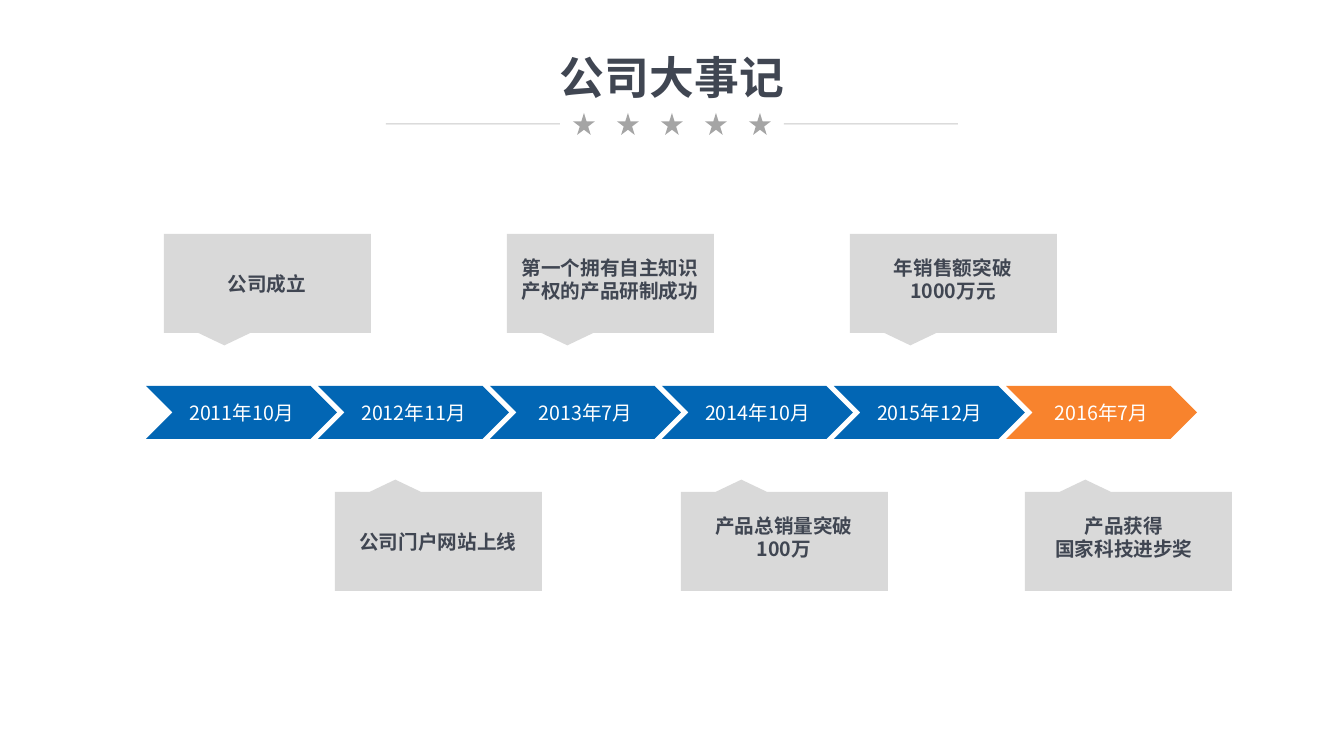
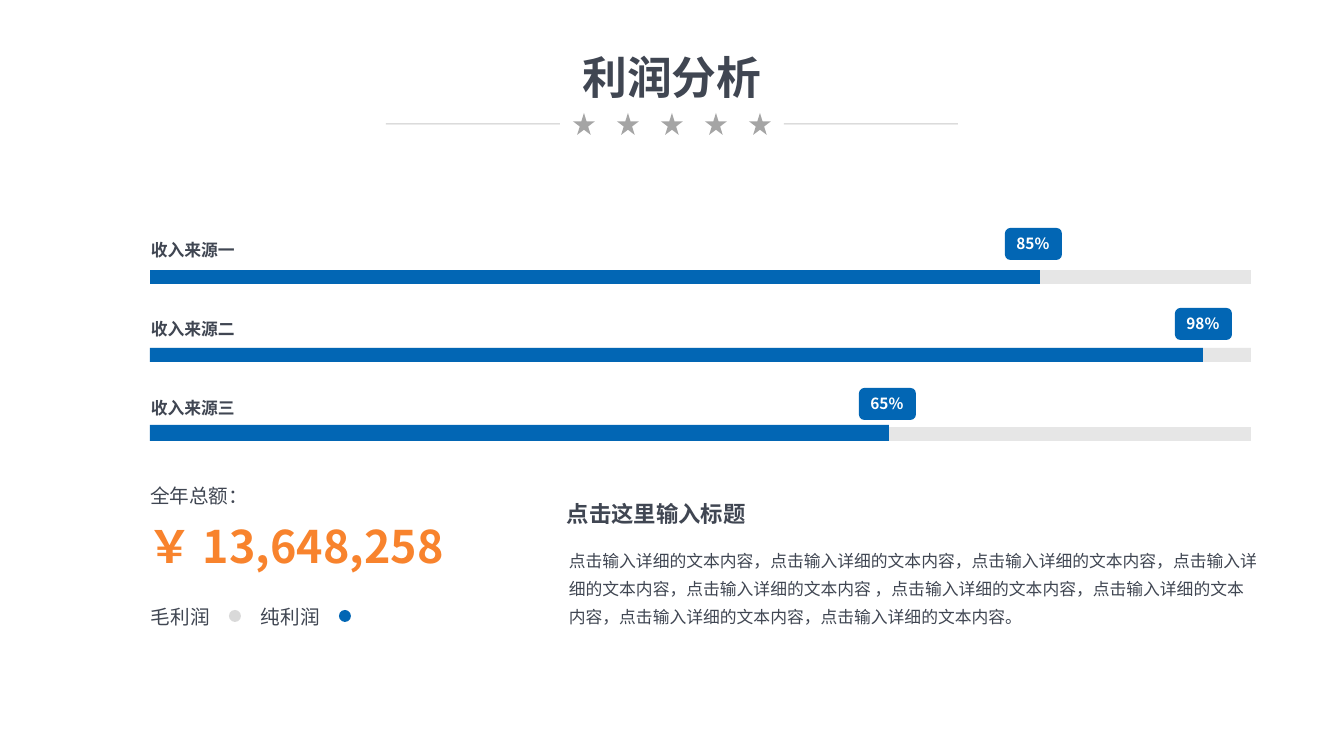
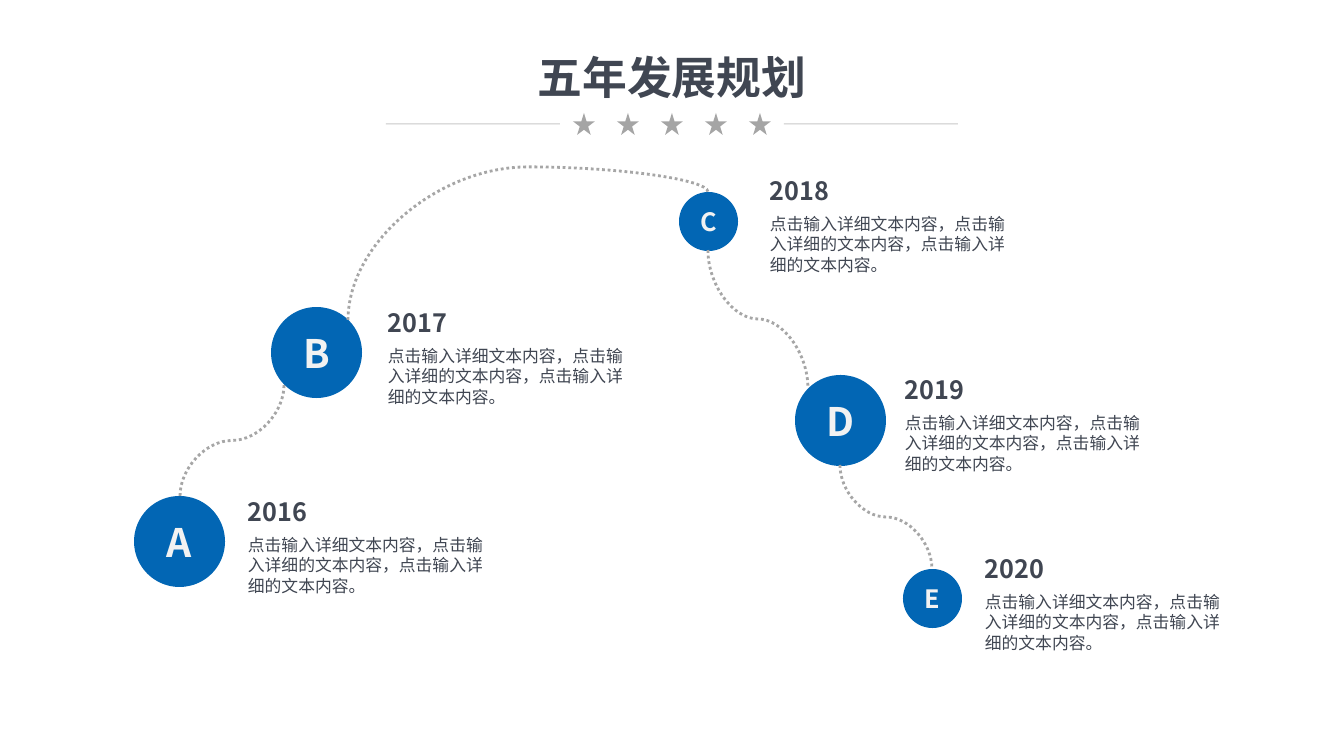
"""Builds three company slides: milestones, profit analysis and a five-year plan."""
from pptx import Presentation
from pptx.dml.color import RGBColor
from pptx.enum.dml import MSO_LINE
from pptx.enum.shapes import MSO_CONNECTOR as Link, MSO_SHAPE as Preset
from pptx.enum.text import MSO_ANCHOR as Anchor, MSO_AUTO_SIZE as AutoSize, PP_ALIGN as Align
from pptx.oxml.ns import qn
from pptx.util import Emu, Pt
from lxml.etree import SubElement

PAGE_WIDTH, PAGE_HEIGHT = 1344, 756
EMU_PER_PX = 12192000 / PAGE_WIDTH
FONT = "Noto Sans CJK SC"
BLUE = RGBColor(0x02, 0x66, 0xB4)
ORANGE = RGBColor(0xF8, 0x83, 0x2D)
INK = RGBColor(0x40, 0x46, 0x52)
WHITE = RGBColor(0xFF, 0xFF, 0xFF)
OFF_WHITE = RGBColor(0xF2, 0xF2, 0xF2)
CARD_GRAY = RGBColor(0xD9, 0xD9, 0xD9)
TRACK_GRAY = RGBColor(0xE6, 0xE6, 0xE6)
STAR_GRAY = RGBColor(0xA5, 0xA5, 0xA5)
PATH_GRAY = RGBColor(0xA6, 0xA6, 0xA6)

MILESTONES = [
    ("2011年10月", "公司成立", 164, 267),
    ("2012年11月", "公司门户网站上线", 335, 438),
    ("2013年7月", "第一个拥有自主知识\n产权的产品研制成功", 507, 610),
    ("2014年10月", "产品总销量突破\n100万", 681, 784),
    ("2015年12月", "年销售额突破\n1000万元", 850, 953),
    ("2016年7月", "产品获得\n国家科技进步奖", 1025, 1124),
]
INCOME_ROWS = [
    ("收入来源一", "85%", 235, 270, 890, 0, 1005, 228),
    ("收入来源二", "98%", 314, 348, 1053, 0, 1175, 308),
    ("收入来源三", "65%", 393, 427, 739, 2, 859, 388),
]
ARTICLE = (
    "点击输入详细的文本内容，点击输入详细的文本内容，点击输入详细的文本内容，"
    "点击输入详细的文本内容，点击输入详细的文本内容 ，点击输入详细的文本内容，"
    "点击输入详细的文本内容，点击输入详细的文本内容，点击输入详细的文本内容。"
)
PLAN_TEXT = "点击输入详细文本内容，点击输入详细的文本内容，点击输入详细的文本内容。"
STAGES = [
    ("A", "2016", 134, 496, 91, 28, 238, 491),
    ("B", "2017", 271, 307, 91, 28, 378, 302),
    ("C", "2018", 679, 192, 59, 18, 760, 170),
    ("D", "2019", 795, 375, 91, 28, 895, 369),
    ("E", "2020", 903, 569, 59, 18, 975, 548),
]
PLAN_CURVES = [
    ((180, 496), (284, 385), 0.5),
    ((348, 320), (708, 192), 1.196),
    ((708, 250), (808, 388), 0.5),
    ((840, 465), (932, 569), 0.5),
]


def px(length):
    """Turn pixels into EMU."""
    return Emu(round(length * EMU_PER_PX))


def write(box, text, size=12, color=INK, bold=False, align=Align.LEFT,
          anchor=Anchor.TOP, wrap=True, grow=False, inset=True, spacing=None):
    """Fill a shape with formatted text, one paragraph a line."""
    frame = box.text_frame
    frame.word_wrap = wrap
    frame.vertical_anchor = anchor
    frame.auto_size = AutoSize.SHAPE_TO_FIT_TEXT if grow else AutoSize.NONE
    if not inset:
        frame.margin_left = frame.margin_right = frame.margin_top = frame.margin_bottom = 0
    for index, line in enumerate(text.split("\n")):
        para = frame.add_paragraph() if index else frame.paragraphs[0]
        para.alignment = align
        if spacing:
            para.line_spacing = Pt(spacing)
        span = para.add_run()
        span.text = line
        font = span.font
        font.size, font.bold, font.name = Pt(size), bold, FONT
        font.color.rgb = color
        SubElement(span._r.get_or_add_rPr(), qn("a:ea")).set("typeface", FONT)


def add_text(page, left, top, width, height, text, **style):
    """Place a growing text box."""
    box = page.shapes.add_textbox(px(left), px(top), px(width), px(height))
    write(box, text, grow=True, **style)


def add_block(page, preset, left, top, width, height, fill):
    """Place a flat preset shape without outline."""
    block = page.shapes.add_shape(preset, px(left), px(top), px(width), px(height))
    block.shadow.inherit = False
    block.fill.solid()
    block.fill.fore_color.rgb = fill
    block.line.fill.background()
    return block


def add_line(page, kind, start, end, color, width):
    """Place a connector without shadow."""
    line = page.shapes.add_connector(kind, *map(px, start + end))
    line.line.color.rgb = color
    line.line.width = Pt(width)
    SubElement(line._element.spPr, qn("a:effectLst"))
    return line


def add_curve(page, start, end, bend):
    """Draw a dotted curve to the right that leaves and arrives vertically."""
    curve = add_line(page, Link.CURVE, start, end, PATH_GRAY, 2)
    curve.line.dash_style = MSO_LINE.ROUND_DOT
    across, down = end[0] - start[0], end[1] - start[1]
    width, height = abs(down), across
    curve.left = px((start[0] + end[0] - width) / 2)
    curve.top = px((start[1] + end[1] - height) / 2)
    curve.width, curve.height = px(width), px(height)
    properties = curve._element.spPr
    frame = properties.find(qn("a:xfrm"))
    frame.set("rot", str((270 if down > 0 else 90) * 60000))
    frame.set("flipH", "1")
    frame.set("flipV", "0" if down > 0 else "1")
    geometry = properties.find(qn("a:prstGeom"))
    guides = geometry.find(qn("a:avLst"))
    if guides is None:
        guides = SubElement(geometry, qn("a:avLst"))
    guide = SubElement(guides, qn("a:gd"))
    guide.set("name", "adj1")
    guide.set("fmla", f"val {round(bend * 100000)}")


def add_heading(page, title):
    """Place the centred title with its stars and two rules."""
    middle = PAGE_WIDTH // 2
    width = 45 * len(title) + 21
    add_text(page, middle - width / 2, 45, width, 65, title,
             size=32, bold=True, align=Align.CENTER, wrap=False)
    for step in range(-2, 3):
        add_block(page, Preset.STAR_5_POINT, middle + 44 * step - 11, 113, 22, 22, STAR_GRAY)
    for side in (1, -1):
        rule = add_line(page, Link.STRAIGHT, (middle + 112 * side, 124),
                        (middle + 286 * side, 124), STAR_GRAY, 0.75)
        color = rule._element.spPr.find(".//" + qn("a:srgbClr"))
        SubElement(color, qn("a:alpha")).set("val", "60000")


def add_milestone_card(page, left, top, label, label_center, below):
    """Place a callout that points at the timeline, with its label."""
    width, height = 207, 99
    card = add_block(page, Preset.RECTANGULAR_CALLOUT, left, top, width, height, CARD_GRAY)
    if below:
        card._element.spPr.find(qn("a:xfrm")).set("flipV", "1")
    lines = label.split("\n")
    label_width = 20 * max(map(len, lines)) + 20
    label_height = 24 * len(lines) + 10
    rise = 4 * (len(lines) - 1)
    add_text(page, label_center - label_width / 2, top + (height - label_height) / 2 - rise,
             label_width, label_height, label,
             size=14, bold=True, align=Align.CENTER, wrap=False)


def build_milestones(page):
    """Build the timeline slide."""
    add_heading(page, "公司大事记")
    last = len(MILESTONES) - 1
    for index, (date, label, card_left, label_center) in enumerate(MILESTONES):
        chevron = add_block(page, Preset.CHEVRON, 146 + 172 * index, 386, 191, 53,
                            ORANGE if index == last else BLUE)
        write(chevron, date, size=14, color=WHITE, align=Align.CENTER, anchor=Anchor.MIDDLE)
        below = index % 2 == 1
        add_milestone_card(page, card_left, 492 if below else 234, label, label_center, below)


def add_income_row(page, left, name, share, name_top, top, length, lift, badge_left, badge_top):
    """Place one income bar with its name and percentage badge."""
    add_block(page, Preset.RECTANGLE, left, top, 1101, 14, TRACK_GRAY)
    add_block(page, Preset.RECTANGLE, left, top - lift, length, 14 + lift, BLUE)
    add_text(page, left - 9, name_top, 105, 30, name, bold=True, wrap=False)
    badge = add_block(page, Preset.ROUNDED_RECTANGLE, badge_left, badge_top, 57, 32, BLUE)
    write(badge, share, size=11, color=WHITE, bold=True, wrap=False, grow=True)


def add_total(page, left, top):
    """Place the yearly total with its legend."""
    add_text(page, left, top, 158, 24, "全年总额：", size=14, inset=False)
    add_text(page, left - 2, top + 35, 314, 54, "￥ 13,648,258",
             size=32, color=ORANGE, bold=True, inset=False)
    for index, (name, color) in enumerate((("毛利润", CARD_GRAY), ("纯利润", BLUE))):
        entry_left = left + 1 + 110 * index
        add_text(page, entry_left, top + 121, 70, 24, name, size=14, inset=False)
        add_block(page, Preset.OVAL, entry_left + 78, top + 126, 12, 12, color)


def build_profit(page):
    """Build the profit analysis slide."""
    add_heading(page, "利润分析")
    for row in INCOME_ROWS:
        add_income_row(page, 150, *row)
    add_total(page, 150, 484)
    add_text(page, 557, 495, 294, 37, "点击这里输入标题", size=16, bold=True)
    add_text(page, 559, 538, 709, 95, ARTICLE, spacing=20)


def add_stage(page, letter, year, left, top, diameter, size, text_left, text_top):
    """Place a lettered circle with its year and description."""
    circle = add_block(page, Preset.OVAL, left, top, diameter, diameter, BLUE)
    write(circle, letter, size=size, color=OFF_WHITE, bold=True,
          align=Align.CENTER, anchor=Anchor.MIDDLE)
    add_text(page, text_left, text_top, 84, 40, year, size=18, bold=True, wrap=False)
    add_text(page, text_left, text_top + 39, 263, 72, PLAN_TEXT)


def build_plan(page):
    """Build the five-year plan slide."""
    add_heading(page, "五年发展规划")
    for stage in STAGES:
        add_stage(page, *stage)
    for curve in PLAN_CURVES:
        add_curve(page, *curve)


def main():
    """Build and save the deck."""
    deck = Presentation()
    deck.slide_width, deck.slide_height = px(PAGE_WIDTH), px(PAGE_HEIGHT)
    for build in (build_milestones, build_profit, build_plan):
        build(deck.slides.add_slide(deck.slide_layouts[6]))
    deck.save("out.pptx")


if __name__ == "__main__":
    main()
